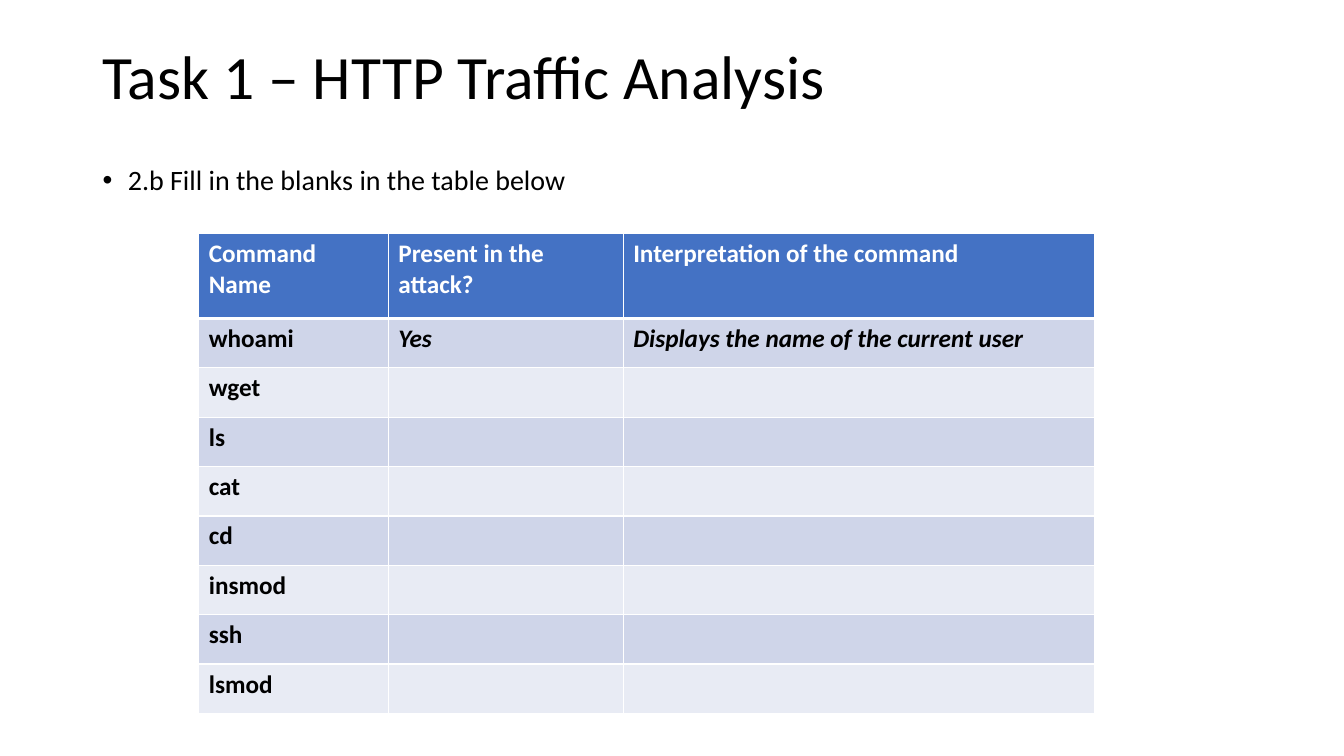
import pptx
import pptx.util
import pptx.dml.color
import pptx.enum.text
import pptx.oxml.ns
import lxml.etree

Pt = pptx.util.Pt
RGBColor = pptx.dml.color.RGBColor
qn = pptx.oxml.ns.qn

BLACK = RGBColor(0x00, 0x00, 0x00)
WHITE = RGBColor(0xFF, 0xFF, 0xFF)
HEADER_BLUE = RGBColor(0x44, 0x72, 0xC4)
DARK_BAND = RGBColor(0xCF, 0xD5, 0xE9)
LIGHT_BAND = RGBColor(0xE8, 0xEB, 0xF4)

FONT = "Calibri"
THIN, THICK = 0.96, 3
COLUMN_WIDTHS = [135.4, 167.8, 336.5]
HEADER_HEIGHT = 60.5
HEADINGS = ["Command Name", "Present in the attack?", "Interpretation of the command"]
ANSWERS = {"whoami": ["Yes", "Displays the name of the current user"]}
COMMANDS = ["whoami", "wget", "ls", "cat", "cd", "insmod", "ssh", "lsmod"]


def style_text(paragraph, size, color, bold=False, italic=False):
    for run in paragraph.runs:
        run.font.name = FONT
        run.font.size = Pt(size)
        run.font.color.rgb = color
        run.font.bold = bold
        run.font.italic = italic


def add_line_of_text(slide, box, text, size, anchor):
    frame = slide.shapes.add_textbox(*map(Pt, box)).text_frame
    frame.word_wrap = True
    frame.vertical_anchor = anchor
    paragraph = frame.paragraphs[0]
    paragraph.text = text
    paragraph.line_spacing = 0.9
    style_text(paragraph, size, BLACK)
    return paragraph


def add_title(slide, box):
    add_line_of_text(slide, box, "Task 1 – HTTP Traffic Analysis", 44,
                     pptx.enum.text.MSO_ANCHOR.MIDDLE)


def add_instruction(slide, box):
    instruction = add_line_of_text(slide, box, "2.b Fill in the blanks in the table below",
                                   20, pptx.enum.text.MSO_ANCHOR.TOP)
    instruction.space_before = Pt(10)
    properties = instruction._p.get_or_add_pPr()
    properties.set("marL", str(Pt(18)))
    properties.set("indent", str(Pt(-18)))
    bullet_font = lxml.etree.SubElement(properties, qn("a:buFont"))
    bullet_font.set("typeface", "Arial")
    bullet = lxml.etree.SubElement(properties, qn("a:buChar"))
    bullet.set("char", "•")


def set_borders(cell, top, bottom):
    properties = cell._tc.get_or_add_tcPr()
    widths = {"a:lnL": THIN, "a:lnR": THIN, "a:lnT": top, "a:lnB": bottom}
    for position, (side, width) in enumerate(widths.items()):
        border = lxml.etree.Element(qn(side), w=str(Pt(width)))
        fill = lxml.etree.SubElement(border, qn("a:solidFill"))
        lxml.etree.SubElement(fill, qn("a:srgbClr"), val=str(WHITE))
        properties.insert(position, border)


def add_command_table(slide, box):
    rows = [HEADINGS] + [[name] + ANSWERS.get(name, ["", ""]) for name in COMMANDS]
    commands = slide.shapes.add_table(len(rows), len(HEADINGS), *map(Pt, box)).table
    for column, width in zip(commands.columns, COLUMN_WIDTHS):
        column.width = Pt(width)
    command_height = (box[3] - HEADER_HEIGHT) / len(COMMANDS)
    for r, texts in enumerate(rows):
        header = r == 0
        commands.rows[r].height = Pt(HEADER_HEIGHT if header else command_height)
        band = HEADER_BLUE if header else DARK_BAND if r % 2 else LIGHT_BAND
        for c, text in enumerate(texts):
            cell = commands.cell(r, c)
            cell.text = text
            cell.fill.solid()
            cell.fill.fore_color.rgb = band
            style_text(cell.text_frame.paragraphs[0], 18, WHITE if header else BLACK,
                       bold=True, italic=not header and c > 0)
            set_borders(cell, THICK if r == 1 else THIN, THICK if header else THIN)


def build_task_slide(presentation):
    slide = presentation.slides.add_slide(presentation.slide_layouts[6])
    add_title(slide, (66.24, 28.8, 828, 56.16))
    add_instruction(slide, (66.24, 115.2, 828, 44.64))
    add_command_table(slide, (142, 167, sum(COLUMN_WIDTHS), 342.74))


presentation = pptx.Presentation()
presentation.slide_width = Pt(960)
presentation.slide_height = Pt(540)
build_task_slide(presentation)
presentation.save("out.pptx")
